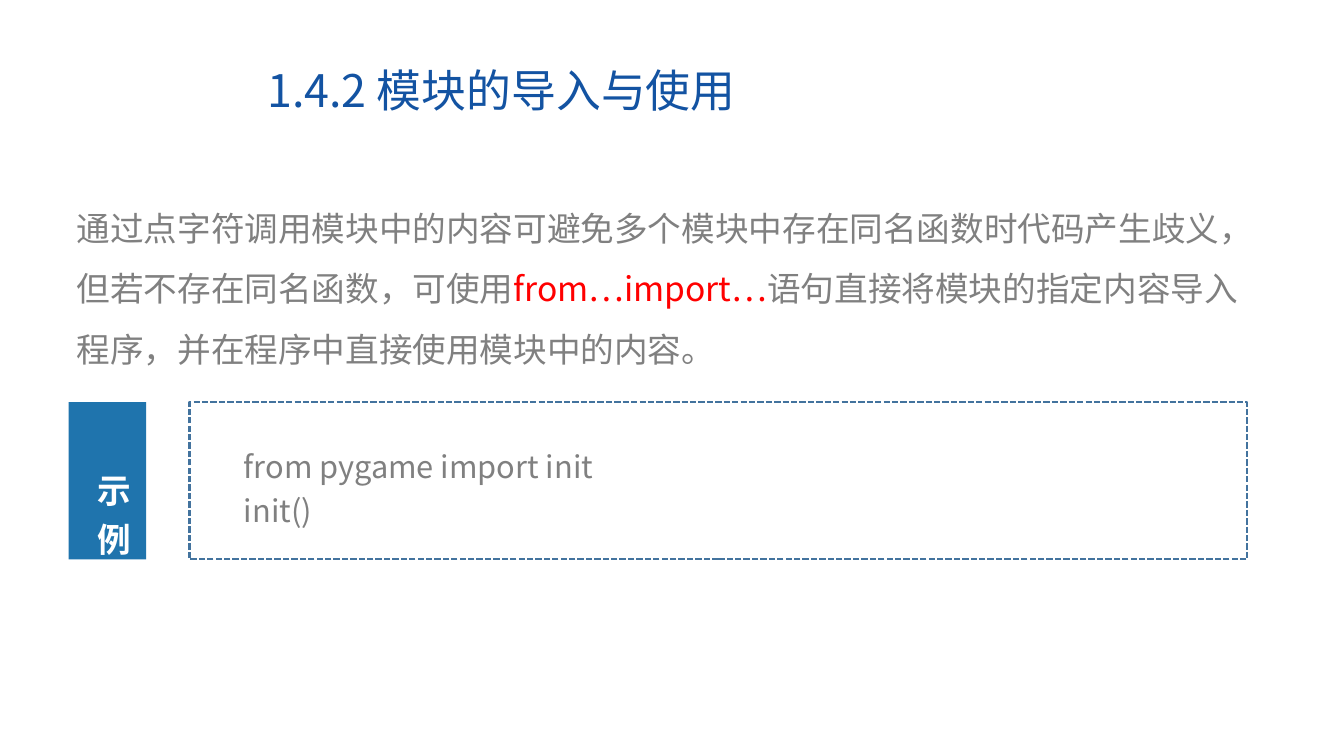
from dataclasses import dataclass
from lxml.etree import SubElement
from pptx import Presentation
from pptx.dml.color import RGBColor
from pptx.enum.dml import MSO_LINE
from pptx.enum.shapes import MSO_SHAPE
from pptx.enum.text import MSO_ANCHOR, MSO_AUTO_SIZE, PP_ALIGN
from pptx.oxml.ns import qn
from pptx.util import Inches, Pt


@dataclass(frozen=True)
class Theme:
    face: str = "Noto Sans CJK SC"
    blue: str = "1353A2"
    tab: str = "1F74AD"
    edge: str = "43739E"
    grey: str = "808080"
    red: str = "FF0000"
    white: str = "FFFFFF"
    head: int = 32
    body: int = 24
    code: int = 22


T = Theme()
TITLE = [[("1.4.2 模块的导入与使用", T.blue)]]
BODY = [[
    ("通过点字符调用模块中的内容可避免多个模块中存在同名函数时代码产生歧义，"
     "但若不存在同名函数，可使用", T.grey),
    ("from…import…", T.red),
    ("语句直接将模块的指定内容导入程序，并在程序中直接使用模块中的内容。", T.grey),
]]
CODE = [[("from pygame import init", T.grey)], [("init()", T.grey)]]
LABEL = [[("示 例", T.white)]]

WIDE, HIGH = 13.33, 7.5
ROW, TALL = 3.99, 1.56  # the example row: top and height


def place(shape, left, top, width, height):
    shape.left, shape.top = Inches(left), Inches(top)
    shape.width, shape.height = Inches(width), Inches(height)
    return shape


def write(shape, paras, size, lead=1.0, anchor=MSO_ANCHOR.TOP, bold=False):
    frame = shape.text_frame
    frame.word_wrap = True
    frame.auto_size = MSO_AUTO_SIZE.NONE
    frame.vertical_anchor = anchor
    for i, runs in enumerate(paras):
        para = frame.add_paragraph() if i else frame.paragraphs[0]
        props = para._p.get_or_add_pPr()
        props.set("marL", "0")
        props.set("indent", "0")
        SubElement(props, qn("a:buNone"))
        para.alignment = PP_ALIGN.LEFT
        para.line_spacing = lead
        para.space_before = Pt(0)
        for text, color in runs:
            run = para.add_run()
            run.text = text
            font = run.font
            font.name, font.size, font.bold = T.face, Pt(size), bold
            font.color.rgb = RGBColor.from_string(color)
            SubElement(run._r.rPr, qn("a:ea")).set("typeface", T.face)
    return frame


def block(slide, left, width):
    shape = slide.shapes.add_shape(
        MSO_SHAPE.RECTANGLE, Inches(left), Inches(ROW), Inches(width), Inches(TALL))
    shape.shadow.inherit = False
    return shape


def main():
    deck = Presentation()
    deck.slide_width, deck.slide_height = Inches(WIDE), Inches(HIGH)
    slide = deck.slides.add_slide(deck.slide_layouts[1])
    title, body = slide.placeholders
    write(place(body, 0.66, 1.81, 12.01, 1.85), BODY, T.body, 1.5)
    write(place(title, 2.55, 0.63, 9.14, 0.59), TITLE, T.head, 0.9, MSO_ANCHOR.MIDDLE)

    frame = block(slide, 1.88, 10.49)
    frame.fill.background()
    frame.line.color.rgb = RGBColor.from_string(T.edge)
    frame.line.width = Pt(1.5)
    frame.line.dash_style = MSO_LINE.SQUARE_DOT
    code = place(slide.shapes.add_textbox(0, 0, 0, 0), 2.32, 4.32, 9.62, 0.99)
    write(code, CODE, T.code, 1.2)

    tab = block(slide, 0.68, 0.77)
    tab.fill.solid()
    tab.fill.fore_color.rgb = RGBColor.from_string(T.tab)
    tab.line.fill.background()
    label = place(slide.shapes.add_textbox(0, 0, 0, 0), 0.76, 4.6, 0.61, 1.1)
    text = write(label, LABEL, T.body, bold=True)
    text._txBody.bodyPr.set("vert", "eaVert")
    # Letter spacing opens the gap between the two characters
    text.paragraphs[0].runs[0]._r.rPr.set("spc", "270")

    deck.save("out.pptx")


if __name__ == "__main__":
    main()
